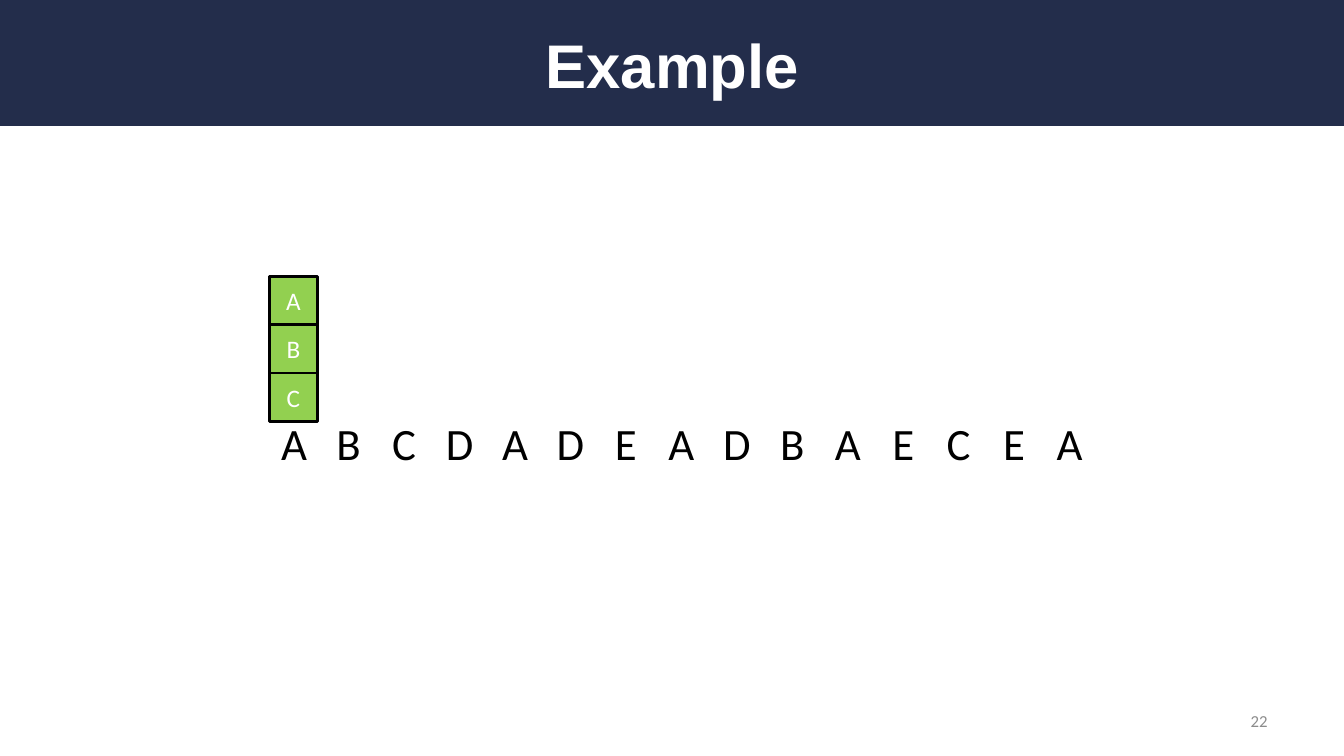
from lxml import etree
from pptx import Presentation
from pptx import util as u
from pptx.dml.color import RGBColor
from pptx.enum import shapes, text
from pptx.oxml.ns import qn

COLORS = {
    "navy": "232D4B",
    "green": "92D050",
    "white": "FFFFFF",
    "black": "000000",
    "gray": "8C8C8C",
}
REQUESTS = "ABCDADEADBAECEA"
FRAMES = "ABC"
FRAME_SIZE = 0.48
LETTER_PITCH = 0.55
FIRST_LETTER_CENTER = 0.12


def color(name):
    return RGBColor.from_string(COLORS[name])


def write(frame, words, size, tint, align, font="Calibri", bold=False):
    paragraph = frame.paragraphs[0]
    paragraph.alignment = align
    run = paragraph.add_run()
    run.text = words
    run.font.name = font
    run.font.size = u.Pt(size)
    run.font.bold = bold
    run.font.color.rgb = color(tint)


def add_box(slide, left, top, width, height, fill, outline=None):
    box = slide.shapes.add_shape(
        shapes.MSO_SHAPE.RECTANGLE,
        u.Inches(left), u.Inches(top), u.Inches(width), u.Inches(height))
    box.shadow.inherit = False
    box.fill.solid()
    box.fill.fore_color.rgb = color(fill)
    if outline:
        box.line.color.rgb = color(outline)
        box.line.width = u.Pt(2)
    else:
        box.line.fill.background()
    box.text_frame.vertical_anchor = text.MSO_ANCHOR.MIDDLE
    return box


def add_label(slide, left, top, width, height, anchor=text.MSO_ANCHOR.MIDDLE):
    label = slide.shapes.add_textbox(
        u.Inches(left), u.Inches(top), u.Inches(width), u.Inches(height))
    label.text_frame.word_wrap = True
    label.text_frame.vertical_anchor = anchor
    return label.text_frame


def add_center_tabs(paragraph, first, pitch, count):
    tabs = etree.SubElement(paragraph._p.get_or_add_pPr(), qn("a:tabLst"))
    for i in range(1, count):
        position = u.Inches(first + i * pitch)
        etree.SubElement(tabs, qn("a:tab"), pos=str(int(position)), algn="ctr")


def main():
    deck = Presentation()
    deck.slide_width = u.Inches(13.33)
    deck.slide_height = u.Inches(7.5)
    slide = deck.slides.add_slide(deck.slide_layouts[6])

    # Title band
    add_box(slide, 0, 0, 13.33, 1.25, "navy")
    title = add_label(slide, 0.67, 0.17, 12, 0.92)
    write(title, "Example", 44, "white", text.PP_ALIGN.CENTER, "Arial", True)

    # Slide number
    number = add_label(slide, 9.56, 6.95, 3.11, 0.4)
    write(number, "22", 12, "gray", text.PP_ALIGN.RIGHT)

    # Request sequence, evenly spaced on centred tab stops
    sequence = add_label(slide, 2.69, 4.08, 8.23, 0.64, text.MSO_ANCHOR.TOP)
    add_center_tabs(sequence.paragraphs[0], FIRST_LETTER_CENTER,
                    LETTER_PITCH, len(REQUESTS))
    write(sequence, "\t".join(REQUESTS), 32, "black", text.PP_ALIGN.LEFT)

    # Stack of frames above the first request
    for row, page in enumerate(FRAMES):
        frame = add_box(slide, 2.67, 2.74 + row * FRAME_SIZE,
                        FRAME_SIZE, FRAME_SIZE, "green", "black")
        write(frame.text_frame, page, 18, "white", text.PP_ALIGN.CENTER)

    deck.save("out.pptx")


if __name__ == "__main__":
    main()
